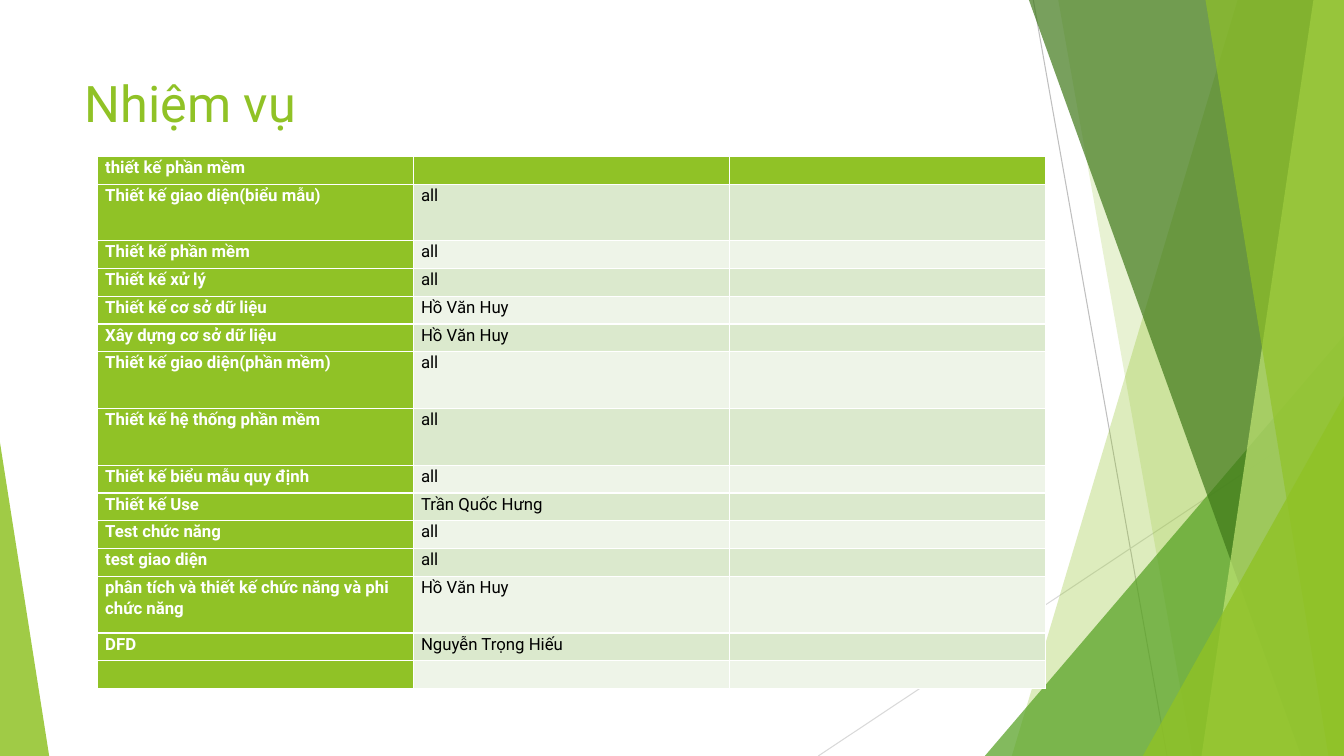
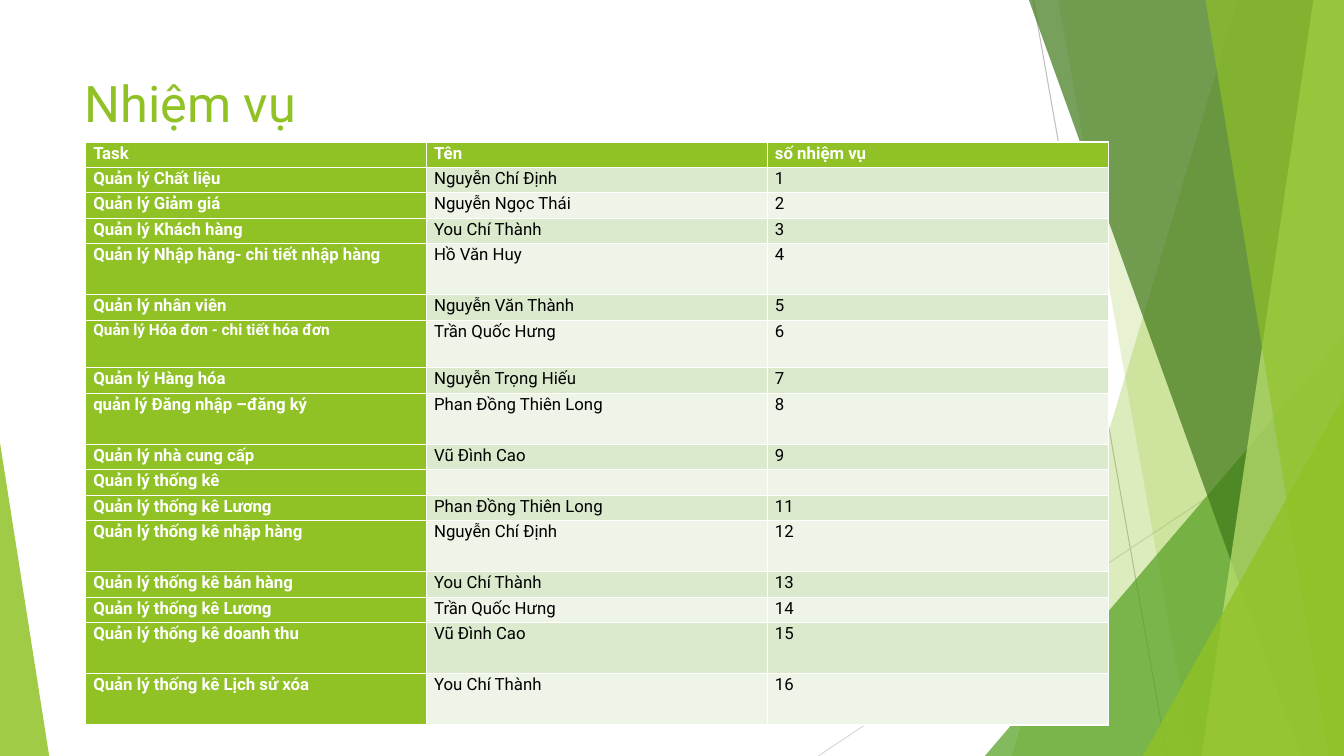
from lxml.etree import SubElement
from pptx import Presentation
from pptx.dml.color import RGBColor as RGB
from pptx.enum.shapes import MSO_CONNECTOR as LINE, MSO_SHAPE as SHAPE
from pptx.enum.text import MSO_ANCHOR as ANCHOR, PP_ALIGN as ALIGN
from pptx.oxml.ns import qn
from pptx.util import Cm, Pt

FONT = "Roboto"
COLORS = {
    "lime": "90C226", "green": "54A021", "forest": "3F7819", "pale": "C0E474",
    "band": "DBE9CD", "light": "EEF4E8", "white": "FFFFFF", "black": "000000",
    "gray": "BFBFBF", "silver": "D9D9D9",
}
WIDE, HIGH = 33.87, 19.05


def paint(shape, color, alpha):
    """Fill a shape without outline or shadow; alpha is percent opacity."""
    shape.shadow.inherit = False
    shape.fill.solid()
    shape.fill.fore_color.rgb = RGB.from_string(COLORS[color])
    shape.line.fill.background()
    tint = next(shape.element.iter(qn("a:srgbClr")))
    SubElement(tint, qn("a:alpha"), val=str(alpha * 1000))


def style(par, size, color, bold=False):
    font = par.font
    font.name, font.size, font.bold = FONT, Pt(size), bold
    font.color.rgb = RGB.from_string(COLORS[color])


prs = Presentation()
prs.slide_width, prs.slide_height = Cm(WIDE), Cm(HIGH)
layout = prs.slide_layouts[5]
first = prs.slides.add_slide(layout)
pen = first.shapes

# Shared background, drawn from back to front
decor = []
for x1, y1, x2, y2, color in [
    (26.04, 0, 29.41, HIGH, "gray"),
    (WIDE, 10.24, 20.62, HIGH, "silver"),
]:
    line = pen.add_connector(LINE.STRAIGHT, Cm(x1), Cm(y1), Cm(x2), Cm(y2))
    line.line.width = Pt(0.75)
    line.line.color.rgb = RGB.from_string(COLORS[color])
    SubElement(line.element.spPr, qn("a:effectLst"))
    decor.append(line)

# Bands reach the right edge: top x, bottom x. Wedges: left, top, width, apex.
for kind, place, color, alpha in [
    ("band", (31.19, 25.5), "lime", 30),
    ("band", (26.67, 30.05), "lime", 20),
    ("wedge", (24.82, 8.46, WIDE - 24.82, 1), "green", 72),
    ("band", (25.93, 32.79), "forest", 70),
    ("band", (33.1, 30.28), "pale", 70),
    ("band", (30.38, 33.48), "lime", 65),
    ("wedge", (28.8, 9.98, WIDE - 28.8, 1), "lime", 80),
    ("wedge", (0, 11.15, 1.24, 0), "lime", 85),
]:
    if kind == "band":
        top, foot = place
        path = pen.build_freeform(Cm(top), 0)
        path.add_line_segments([(Cm(WIDE), 0), (Cm(WIDE), Cm(HIGH)), (Cm(foot), Cm(HIGH))])
        shape = path.convert_to_shape()
    else:
        x, y, width, apex = place
        shape = pen.add_shape(SHAPE.ISOSCELES_TRIANGLE, Cm(x), Cm(y), Cm(width), Cm(HIGH - y))
        shape.adjustments[0] = apex
    paint(shape, color, alpha)
    decor.append(shape)

# Move the background to the layout, with ids that are free there
for num, shape in enumerate(decor, 100):
    next(shape.element.iter(qn("p:cNvPr"))).set("id", str(num))
    layout.shapes.element.append(shape.element)

head = layout.placeholders[0]
head.left, head.top, head.width, head.height = Cm(1.88), Cm(1.7), Cm(23.88), Cm(3.66)
head.text_frame.vertical_anchor = ANCHOR.TOP

duties = [
    ("thiết kế phần mềm", "", ""),
    ("Thiết kế giao diện(biểu mẫu)", "all", ""),
    ("Thiết kế phần mềm", "all", ""),
    ("Thiết kế xử lý", "all", ""),
    ("Thiết kế cơ sở dữ liệu", "Hồ Văn Huy", ""),
    ("Xây dựng cơ sở dữ liệu", "Hồ Văn Huy", ""),
    ("Thiết kế giao diện(phần mềm)", "all", ""),
    ("Thiết kế hệ thống phần mềm", "all", ""),
    ("Thiết kế biểu mẫu quy định", "all", ""),
    ("Thiết kế Use", "Trần Quốc Hưng", ""),
    ("Test chức năng", "all", ""),
    ("test giao diện", "all", ""),
    ("phân tích và thiết kế chức năng và phi chức năng", "Hồ Văn Huy", ""),
    ("DFD", "Nguyễn Trọng Hiếu", ""),
    ("", "", ""),
]
tasks = [
    ("Task", "Tên", "số nhiệm vụ"),
    ("Quản lý Chất liệu", "Nguyễn Chí Định", "1"),
    ("Quản lý Giảm giá", "Nguyễn Ngọc Thái", "2"),
    ("Quản lý Khách hàng", "You Chí Thành", "3"),
    ("Quản lý Nhập hàng- chi tiết nhập hàng", "Hồ Văn Huy", "4"),
    ("Quản lý nhân viên", "Nguyễn Văn Thành", "5"),
    ("Quản lý Hóa đơn - chi tiết hóa đơn", "Trần Quốc Hưng", "6"),
    ("Quản lý Hàng hóa", "Nguyễn Trọng Hiếu", "7"),
    ("quản lý Đăng nhập –đăng ký", "Phan Đồng Thiên Long", "8"),
    ("Quản lý nhà cung cấp", "Vũ Đình Cao", "9"),
    ("Quản lý thống kê", "", ""),
    ("Quản lý thống kê Lương", "Phan Đồng Thiên Long", "11"),
    ("Quản lý thống kê nhập hàng", "Nguyễn Chí Định", "12"),
    ("Quản lý thống kê bán hàng", "You Chí Thành", "13"),
    ("Quản lý thống kê Lương", "Trần Quốc Hưng", "14"),
    ("Quản lý thống kê doanh thu", "Vũ Đình Cao", "15"),
    ("Quản lý thống kê Lịch sử xóa", "You Chí Thành", "16"),
]

# Slide, rows, left, top, column width, row height, taller rows, smaller labels
for slide, rows, x, y, width, low, tall, small in [
    (first, duties, 2.46, 3.94, 7.96, 0.7, dict.fromkeys((1, 6, 7, 12), 1.43), ()),
    (prs.slides.add_slide(layout), tasks, 2.16, 3.58, 8.59, 0.64,
     {**dict.fromkeys((4, 8, 12, 15, 16), 1.29), 6: 1.2}, (6,)),
]:
    title = slide.shapes.title
    title.text = "Nhiệm vụ"
    par = title.text_frame.paragraphs[0]
    par.alignment = ALIGN.LEFT
    style(par, 36, "lime")

    sizes = [tall.get(r, low) for r in range(len(rows))]
    table = slide.shapes.add_table(
        len(rows), 3, Cm(x), Cm(y), Cm(3 * width), Cm(sum(sizes))).table
    table.first_col = True
    for col in table.columns:
        col.width = Cm(width)
    for r, texts in enumerate(rows):
        table.rows[r].height = Cm(sizes[r])
        for c, text in enumerate(texts):
            cell = table.cell(r, c)
            label = r == 0 or c == 0
            cell.margin_left = cell.margin_right = Cm(0.19)
            cell.margin_top = cell.margin_bottom = 0
            cell.fill.solid()
            fill = "lime" if label else "band" if r % 2 else "light"
            cell.fill.fore_color.rgb = RGB.from_string(COLORS[fill])
            cell.text = text
            par = cell.text_frame.paragraphs[0]
            par.line_spacing = 1.07
            style(par, 11 if c == 0 and r in small else 12,
                  "white" if label else "black", label)

prs.save("out.pptx")
